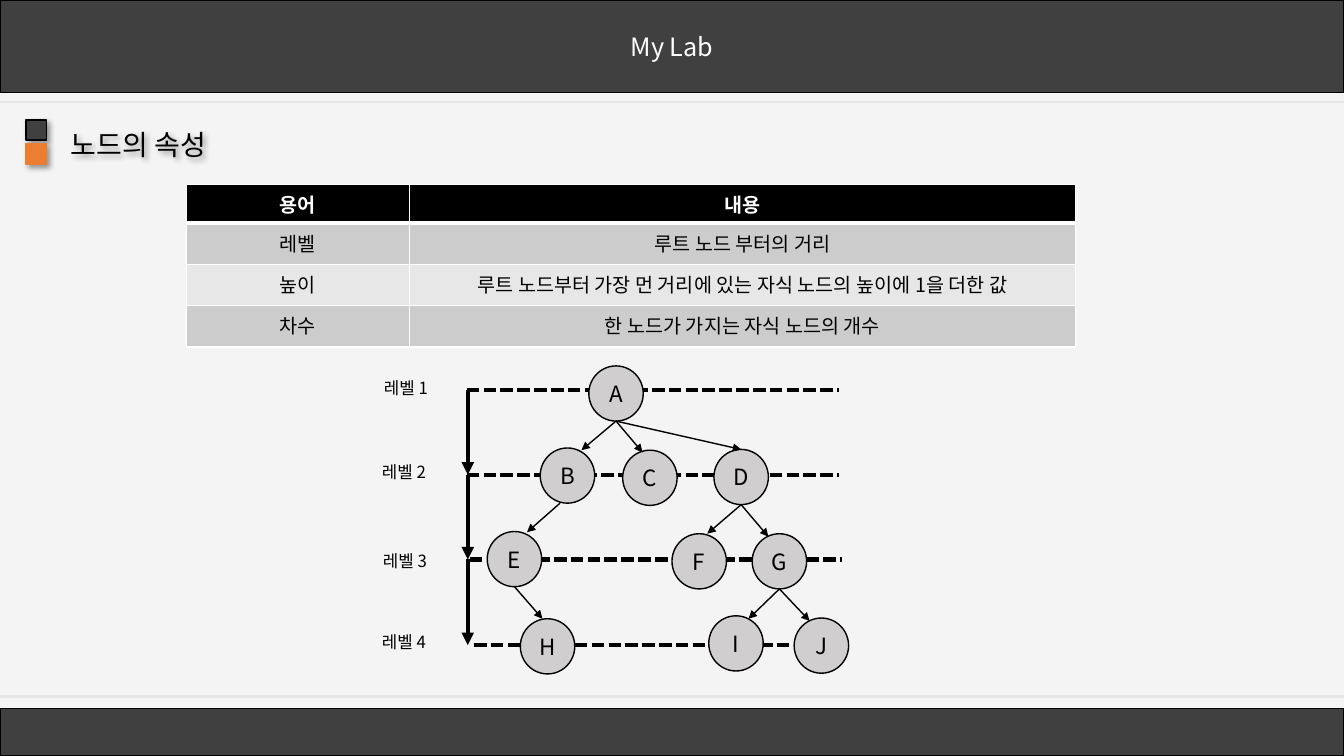
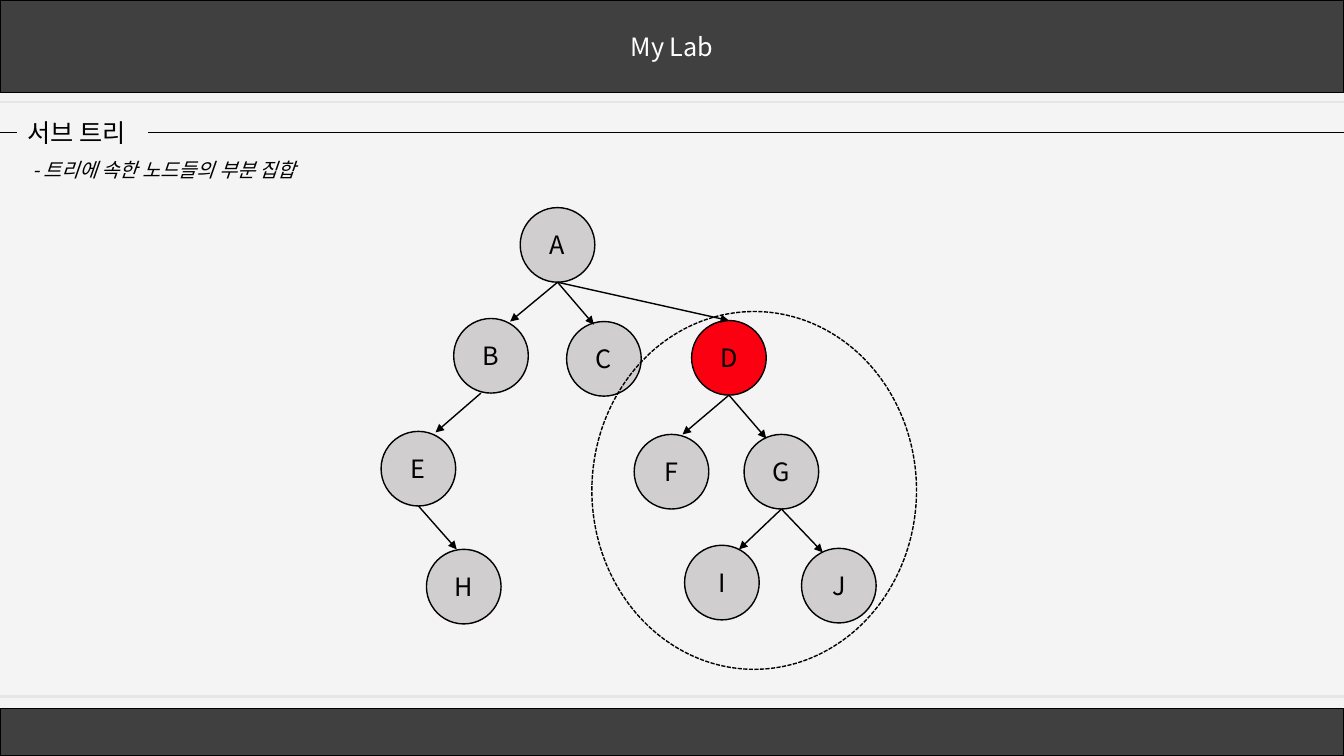
from dataclasses import dataclass

from lxml.etree import SubElement as Sub
from pptx import Presentation
from pptx.dml.color import RGBColor
from pptx.enum.dml import MSO_LINE as Dash
from pptx.enum.shapes import MSO_CONNECTOR as Link, MSO_SHAPE as Kind
from pptx.enum.text import MSO_ANCHOR as Anchor, MSO_AUTO_SIZE as Fit, PP_ALIGN as Align
from pptx.oxml.ns import qn
from pptx.slide import Slide
from pptx.util import Inches, Pt

FONT = "Noto Sans CJK KR"
BLACK, WHITE, PAPER = "000000", "FFFFFF", "F4F4F4"
BAND, RULE, NODE = "404040", "E7E6E6", "D0CECE"
RED, ORANGE = "FB0010", "ED7D31"
ODD, EVEN = "CCCCCC", "E7E7E7"
WIDE, HIGH = 13.33, 7.5


@dataclass(frozen=True)
class Node:
    name: str
    x: float  # left and top, measured from the root
    y: float
    root: str = ""
    tip: tuple[float, float] = (0, 0)  # arrow tip within the node
    tail: float = 0.37  # where arrows leave the lower edge


@dataclass(frozen=True)
class Level:
    label: tuple[float, float]
    x: float
    y: float


SIZE = 0.74
TREE = [
    Node("A", 0, 0),
    Node("B", -0.66, 1.1, "A", (0.56, 0.03), tail=0.27),
    Node("C", 0.46, 1.13, "A", (0.27, 0.03)),
    Node("D", 1.7, 1.12, "A", (0.37, 0)),
    Node("E", -1.38, 2.22, "B", (0.54, 0.01)),
    Node("F", 1.13, 2.25, "D", (0.48, 0)),
    Node("G", 2.22, 2.25, "D", (0.22, 0.04)),
    Node("H", -0.93, 3.39, "E", (0.3, 0)),
    Node("I", 1.63, 3.35, "G", (0.54, 0.04)),
    Node("J", 2.79, 3.38, "G", (0.21, 0.04)),
]
LEVELS = [
    Level((3.71, 3.7), 4.63, 3.87),
    Level((3.69, 4.53), 4.63, 4.71),
    Level((3.7, 5.41), 4.66, 5.55),
    Level((3.69, 6.22), 4.7, 6.4),
]
TERMS = [
    ("용어", "내용"),
    ("레벨", "루트 노드 부터의 거리"),
    ("높이", "루트 노드부터 가장 먼 거리에 있는 자식 노드의 높이에 1을 더한 값"),
    ("차수", "한 노드가 가지는 자식 노드의 개수"),
]


def rgb(code: str) -> RGBColor:
    return RGBColor.from_string(code)


def write(frame, text: str, size: float, color: str = BLACK, align=Align.LEFT,
          bold: bool = False, slant: bool = False) -> None:
    frame.text = text
    para = frame.paragraphs[0]
    para.alignment = align
    font = para.font
    font.size, font.name = Pt(size), FONT
    font.bold, font.italic = bold, slant
    font.color.rgb = rgb(color)
    # East Asian glyphs use the same face
    Sub(para._p.pPr.find(qn("a:defRPr")), qn("a:ea"), typeface=FONT)


def shade(shape) -> None:
    """Give a shape, or the text of an unfilled one, a soft shadow."""
    shape.shadow.inherit = False
    glow = Sub(shape._element.spPr.find(qn("a:effectLst")), qn("a:outerShdw"),
               blurRad=str(Pt(4)), dist=str(Pt(3)), dir="2700000",
               algn="tl", rotWithShape="0")
    tint = Sub(glow, qn("a:srgbClr"), val=BLACK)
    Sub(tint, qn("a:alpha"), val="40000")


def form(slide: Slide, kind, x: float, y: float, w: float, h: float,
         fill: str = "", edge: str = BLACK):
    shape = slide.shapes.add_shape(kind, Inches(x), Inches(y), Inches(w), Inches(h))
    shape.shadow.inherit = False
    if fill:
        shape.fill.solid()
        shape.fill.fore_color.rgb = rgb(fill)
    else:
        shape.fill.background()
    shape.line.color.rgb = rgb(edge)
    shape.line.width = Pt(1)
    return shape


def line(slide: Slide, start: tuple[float, float], end: tuple[float, float],
         color: str = BLACK, width: float = 1, dash: bool = False,
         head: bool = False) -> None:
    link = slide.shapes.add_connector(
        Link.STRAIGHT, *(Inches(v) for v in (*start, *end)))
    link.line.color.rgb = rgb(color)
    link.line.width = Pt(width)
    if dash:
        link.line.dash_style = Dash.SQUARE_DOT
    props = link._element.spPr
    if head:
        Sub(props.find(qn("a:ln")), qn("a:tailEnd"), type="triangle")
    Sub(props, qn("a:effectLst"))


def label(slide: Slide, text: str, x: float, y: float, w: float, h: float,
          size: float, slant: bool = False) -> None:
    box = slide.shapes.add_textbox(Inches(x), Inches(y), Inches(w), Inches(h))
    frame = box.text_frame
    write(frame, text, size, slant=slant)
    frame.word_wrap = not slant
    frame.auto_size = Fit.SHAPE_TO_FIT_TEXT


def title(slide: Slide, text: str, x: float, y: float, w: float, h: float, size: float):
    box = slide.shapes.title
    box.left, box.top, box.width, box.height = (Inches(v) for v in (x, y, w, h))
    frame = box.text_frame
    frame.auto_size = Fit.NONE
    frame.vertical_anchor = Anchor.TOP
    frame.word_wrap = False
    write(frame, text, size)
    return box


def start(deck) -> Slide:
    """Add a slide with the shared background, bands and rules."""
    slide = deck.slides.add_slide(deck.slide_layouts[5])
    slide.background.fill.solid()
    slide.background.fill.fore_color.rgb = rgb(PAPER)
    top = form(slide, Kind.RECTANGLE, 0, 0, WIDE, 0.92, BAND)
    write(top.text_frame, "My Lab", 18, WHITE, Align.CENTER)
    form(slide, Kind.RECTANGLE, 0, 7.03, WIDE, 0.47, BAND)
    for y in (1.01, 6.91):
        line(slide, (0, y), (WIDE, y), RULE, 1.5)
    return slide


def tree(slide: Slide, x: float, y: float, size: float,
         sx: float = 1, sy: float = 1, mark: str = "") -> None:
    def spot(dx: float, dy: float) -> tuple[float, float]:
        return x + dx * sx, y + dy * sy

    nodes = {node.name: node for node in TREE}
    for node in TREE:
        disc = form(slide, Kind.OVAL, *spot(node.x, node.y), SIZE * sx, SIZE * sy,
                    RED if node.name == mark else NODE)
        write(disc.text_frame, node.name, size, align=Align.CENTER)
    for node in TREE:
        if node.root:
            root = nodes[node.root]
            line(slide, spot(root.x + root.tail, root.y + SIZE),
                 spot(node.x + node.tip[0], node.y + node.tip[1]), head=True)


def grid(slide: Slide) -> None:
    cols, rows = (2.21, 6.61), (0.38, 0.41, 0.41, 0.41)
    table = slide.shapes.add_table(
        len(rows), len(cols), Inches(1.85), Inches(1.83),
        Inches(sum(cols)), Inches(sum(rows))).table
    for col, w in zip(table.columns, cols):
        col.width = Inches(w)
    for r, (row, h) in enumerate(zip(table.rows, rows)):
        row.height = Inches(h)
        for cell, text in zip(row.cells, TERMS[r]):
            # Borders come before the fill
            props = cell._tc.get_or_add_tcPr()
            for side in "LRTB":
                thick = (r, side) in ((0, "B"), (1, "T"))
                edge = Sub(props, qn(f"a:ln{side}"), w=str(Pt(3 if thick else 1)))
                Sub(Sub(edge, qn("a:solidFill")), qn("a:srgbClr"), val=WHITE)
            cell.fill.solid()
            cell.fill.fore_color.rgb = rgb(BLACK if r == 0 else ODD if r % 2 else EVEN)
            write(cell.text_frame, text, 14, BLACK if r else WHITE,
                  Align.CENTER, bold=r == 0)


def traits(deck) -> None:
    slide = start(deck)
    shade(title(slide, "노드의 속성", 0.6, 1.21, 5.3, 0.44, 20))
    for y, fill, edge in ((1.19, BAND, BLACK), (1.43, ORANGE, ORANGE)):
        shade(form(slide, Kind.RECTANGLE, 0.26, y, 0.2, 0.2, fill, edge))
    grid(slide)
    # Levels behind the tree
    for rank, level in enumerate(LEVELS, 1):
        line(slide, (level.x, level.y), (level.x + 3.69, level.y), width=3, dash=True)
        label(slide, f"레벨 {rank}", *level.label, 0.75, 0.3, 12)
    for upper, lower in zip(LEVELS, LEVELS[1:]):
        line(slide, (4.64, upper.y), (4.64, lower.y), width=3, head=True)
    tree(slide, 5.84, 3.63, 16, 0.73, 0.74)


def subtree(deck) -> None:
    slide = start(deck)
    title(slide, "서브 트리", 0.17, 1.11, 1.3, 0.4, 18)
    for left, right in ((0, 0.17), (1.47, WIDE)):
        line(slide, (left, 1.31), (right, 1.31), width=0.5)
    label(slide, "- 트리에 속한 노드들의 부분 집합", 0.22, 1.52, 3.18, 0.34, 14, slant=True)
    tree(slide, 5.16, 2.06, 18, mark="D")
    # Ring around the subtree
    ring = form(slide, Kind.OVAL, 5.87, 3.09, 3.22, 3.55)
    ring.line.dash_style = Dash.SQUARE_DOT


def main() -> None:
    deck = Presentation()
    deck.slide_width, deck.slide_height = Inches(WIDE), Inches(HIGH)
    traits(deck)
    subtree(deck)
    deck.save("out.pptx")


if __name__ == "__main__":
    main()
